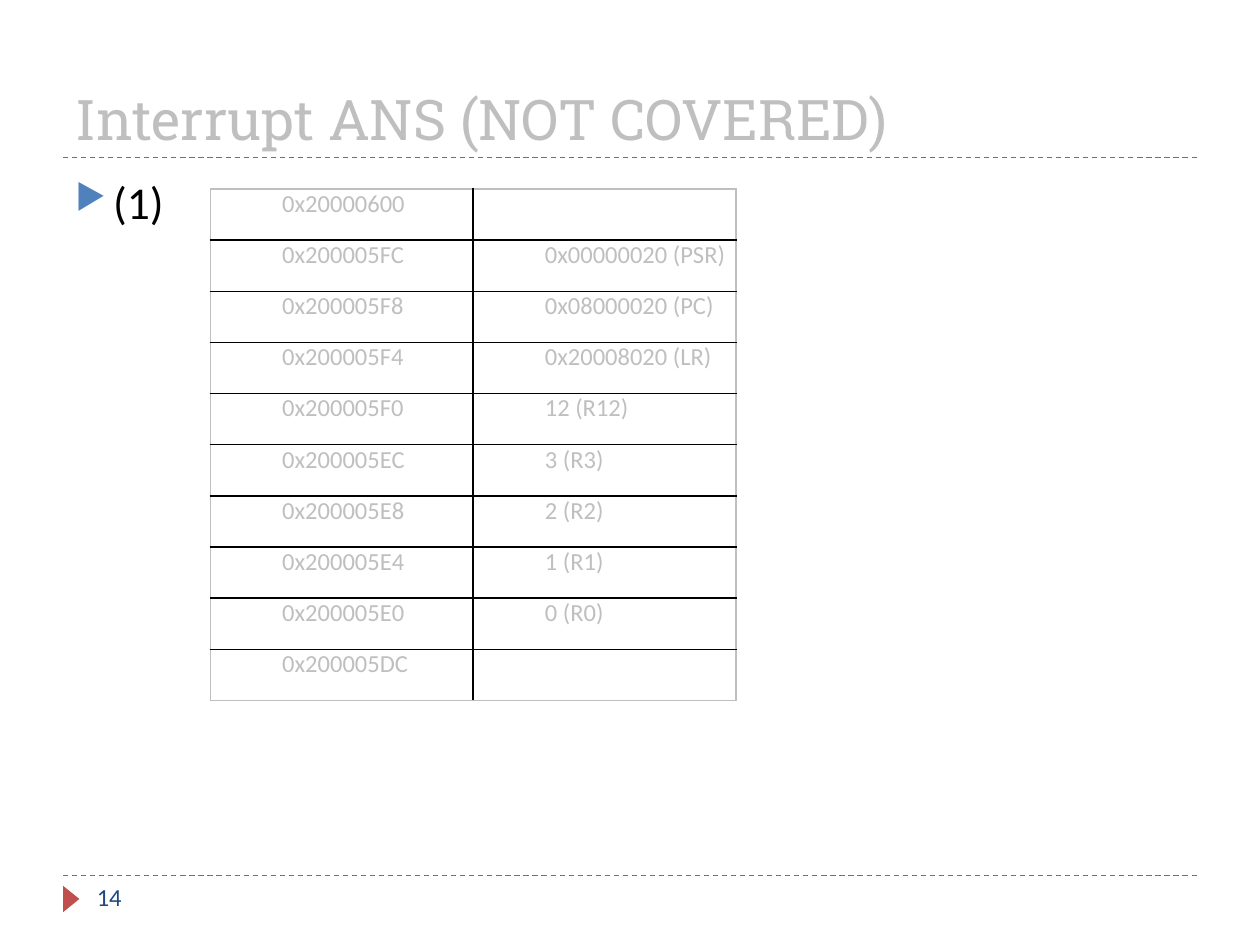
from lxml.etree import SubElement
from pptx import Presentation
from pptx.dml.color import RGBColor
from pptx.enum.dml import MSO_LINE
from pptx.enum.shapes import MSO_CONNECTOR, MSO_SHAPE
from pptx.enum.text import MSO_ANCHOR
from pptx.oxml import parse_xml
from pptx.oxml.ns import nsdecls, qn
from pptx.util import Inches, Pt

GREY = RGBColor(0xBF, 0xBF, 0xBF)
BLACK = RGBColor(0, 0, 0)
RED = RGBColor(0xC0, 0x50, 0x4D)
BLUE = RGBColor(0x4F, 0x81, 0xBD)
NAVY = RGBColor(0x1F, 0x49, 0x7D)

TITLE = "Interrupt ANS (NOT COVERED)"
ITEM = "(1)"
PAGE_NUMBER = "14"
STACK = [
    ("0x20000600", ""),
    ("0x200005FC", "0x00000020 (PSR)"),
    ("0x200005F8", "0x08000020 (PC)"),
    ("0x200005F4", "0x20008020 (LR)"),
    ("0x200005F0", "12 (R12)"),
    ("0x200005EC", "3 (R3)"),
    ("0x200005E8", "2 (R2)"),
    ("0x200005E4", "1 (R1)"),
    ("0x200005E0", "0 (R0)"),
    ("0x200005DC", ""),
]
RULE_HEIGHTS = [6.95, 1.25]
TABLE_WIDTH, TABLE_HEIGHT = 4.17, 4.06


def add_span(para, text, size, color, font="Calibri"):
    span = para.add_run()
    span.text = text
    span.font.size = Pt(size)
    span.font.name = font
    span.font.color.rgb = color


def add_box(page, left, top, width, height, anchor=MSO_ANCHOR.TOP):
    """Add an empty wrapping text box and return its first paragraph."""
    box = page.shapes.add_textbox(Inches(left), Inches(top), Inches(width), Inches(height))
    box.text_frame.word_wrap = True
    box.text_frame.vertical_anchor = anchor
    return box.text_frame.paragraphs[0]


def add_rule(page, top):
    rule = page.shapes.add_connector(
        MSO_CONNECTOR.STRAIGHT, Inches(0.5), Inches(top), Inches(9.5), Inches(top))
    rule.line.color.rgb = RED
    rule.line.width = Pt(0.75)
    rule.line.dash_style = MSO_LINE.DASH
    SubElement(rule._element.spPr, qn("a:effectLst"))


def indent(para, left, first=0):
    props = para._p.get_or_add_pPr()
    props.set("marL", str(Inches(left)))
    props.set("indent", str(Inches(first)))
    return props


def add_bullet(para):
    props = indent(para, 0.3, -0.3)
    color = SubElement(props, qn("a:buClr"))
    SubElement(color, qn("a:srgbClr"), val=str(BLUE))
    SubElement(props, qn("a:buSzPct"), val="76000")
    SubElement(props, qn("a:buChar"), char="▶")


def set_borders(cell, colors):
    """Draw the left, right, top and bottom borders in the given colours."""
    props = cell._tc.get_or_add_tcPr()
    for place, (side, color) in enumerate(zip("LRTB", colors)):
        props.insert(place, parse_xml(
            f'<a:ln{side} {nsdecls("a")} w="{Pt(1)}"><a:solidFill>'
            f'<a:srgbClr val="{color}"/></a:solidFill></a:ln{side}>'))


def add_stack_table(page):
    row_count, column_count = len(STACK), len(STACK[0])
    table = page.shapes.add_table(
        row_count, column_count, Inches(1.67), Inches(1.5),
        Inches(TABLE_WIDTH), Inches(TABLE_HEIGHT)).table
    table.first_row = table.horz_banding = False
    for r, entries in enumerate(STACK):
        for c, text in enumerate(entries):
            cell = table.cell(r, c)
            cell.fill.background()
            cell.margin_left = cell.margin_right = Inches(0.07)
            cell.margin_top = cell.margin_bottom = 0
            para = cell.text_frame.paragraphs[0]
            indent(para, 0.5)
            if text:
                add_span(para, text, 14, GREY)
            else:
                para.font.size = Pt(14)
            outer = (c == 0, c == column_count - 1, r == 0, r == row_count - 1)
            set_borders(cell, [GREY if edge else BLACK for edge in outer])


def main():
    deck = Presentation()
    deck.slide_width, deck.slide_height = Inches(10), Inches(7.5)
    page = deck.slides.add_slide(deck.slide_layouts[6])

    for top in RULE_HEIGHTS:
        add_rule(page, top)
    marker = page.shapes.add_shape(
        MSO_SHAPE.ISOSCELES_TRIANGLE, Inches(0.46), Inches(7.07), Inches(0.21), Inches(0.13))
    marker.rotation = 90
    marker.shadow.inherit = False
    marker.fill.solid()
    marker.fill.fore_color.rgb = RED
    marker.line.fill.background()

    title = add_box(page, 0.5, 0.17, 9, 1.08, MSO_ANCHOR.BOTTOM)
    add_span(title, TITLE, 32, GREY, "Roboto Slab")
    add_span(add_box(page, 0.67, 6.95, 2.17, 0.4), PAGE_NUMBER, 14, NAVY)
    item = add_box(page, 0.5, 1.33, 9, 5.4)
    add_bullet(item)
    add_span(item, ITEM, 26, BLACK)
    add_stack_table(page)

    deck.save("out.pptx")


if __name__ == "__main__":
    main()
